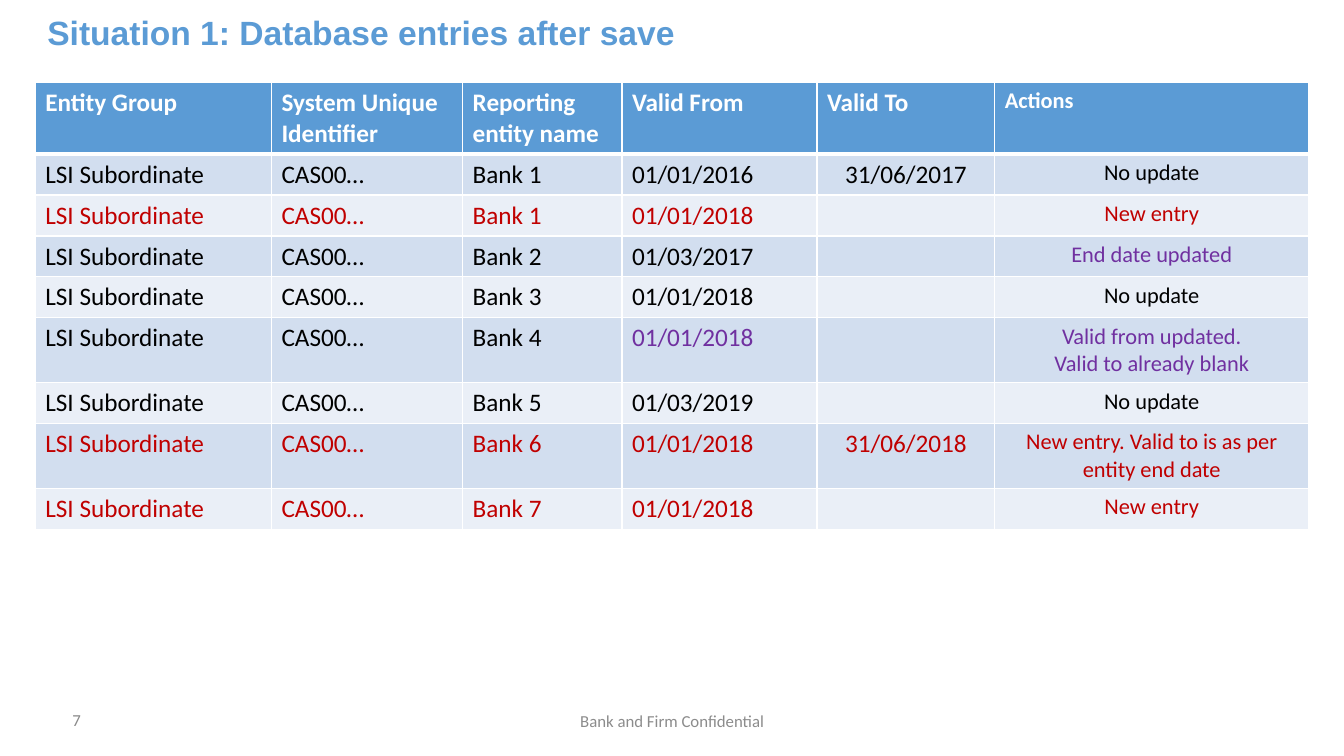
from lxml import etree
from pptx import Presentation
from pptx.dml.color import RGBColor
from pptx.enum.text import MSO_ANCHOR, MSO_AUTO_SIZE, PP_ALIGN
from pptx.oxml.ns import qn
from pptx.util import Pt

WHITE, BLACK, BLUE, RED, PURPLE = "FFFFFF", "000000", "5B9BD5", "C00000", "7030A0"
BANDS = ("D2DEEF", "EAEFF7")

TITLE = "Situation 1: Database entries after save"
HEADERS = ["Entity Group", "System Unique Identifier", "Reporting entity name",
           "Valid From", "Valid To", "Actions"]
# bank, valid from, valid to, action, row colour, valid-from colour, action colour
ENTRIES = [
    ("Bank 1", "01/01/2016", "31/06/2017", "No update", BLACK, BLACK, BLACK),
    ("Bank 1", "01/01/2018", "", "New entry", RED, RED, RED),
    ("Bank 2", "01/03/2017", "", "End date updated", BLACK, BLACK, PURPLE),
    ("Bank 3", "01/01/2018", "", "No update", BLACK, BLACK, BLACK),
    ("Bank 4", "01/01/2018", "", "Valid from updated.\nValid to already blank",
     BLACK, PURPLE, PURPLE),
    ("Bank 5", "01/03/2019", "", "No update", BLACK, BLACK, BLACK),
    ("Bank 6", "01/01/2018", "31/06/2018",
     "New entry. Valid to is as per entity end date", RED, RED, RED),
    ("Bank 7", "01/01/2018", "", "New entry", RED, RED, RED),
]
FOOTERS = [  # text, left, top, width, alignment, colour
    ("Bank and Firm Confidential", 318.2, 500.4, 324, PP_ALIGN.CENTER, "8C8C8C"),
    ("7", 44.6, 499.7, 216, PP_ALIGN.LEFT, "898989"),
]
COLUMN_WIDTHS = [168.7, 136.6, 113.8, 139.4, 126.9, 224.4]
HEADER_HEIGHT, ROW_HEIGHT, TALL_HEIGHT = 50.4, 29.2, 46.4
TALL_ACTION = 20  # actions longer than this take two lines


def rgb(value):
    """Turn a hex string into a colour."""
    return RGBColor.from_string(value)


def write(frame, text, size, color, font="Calibri", bold=False, align=PP_ALIGN.LEFT):
    """Fill a text frame with evenly formatted paragraphs."""
    frame.text = text
    for paragraph in frame.paragraphs:
        paragraph.alignment = align
        paragraph.font.size = Pt(size)
        for run in paragraph.runs:
            run.font.name, run.font.size, run.font.bold = font, Pt(size), bold
            run.font.color.rgb = rgb(color)


def add_borders(cell, top=1, bottom=1):
    """Draw white borders around a cell, with widths in points."""
    properties = cell._tc.get_or_add_tcPr()
    for side, width in (("L", 1), ("R", 1), ("T", top), ("B", bottom)):
        line = etree.SubElement(properties, qn(f"a:ln{side}"), w=str(Pt(width)))
        fill = etree.SubElement(line, qn("a:solidFill"))
        etree.SubElement(fill, qn("a:srgbClr"), val=WHITE)


def fill_cell(cell, text, size, color, background, top=1, bottom=1, **style):
    """Set a cell's borders, background and text."""
    add_borders(cell, top, bottom)
    cell.fill.solid()
    cell.fill.fore_color.rgb = rgb(background)
    write(cell.text_frame, text, size, color, **style)


def add_title(slide):
    """Place the slide title in its placeholder."""
    title = slide.shapes.title
    title.left, title.top, title.width, title.height = Pt(26.6), Pt(8), Pt(831.6), Pt(83.5)
    frame = title.text_frame
    write(frame, TITLE, 24, BLUE, font="Arial", bold=True, align=PP_ALIGN.JUSTIFY)
    frame.paragraphs[0].line_spacing = 0.9
    frame.vertical_anchor = MSO_ANCHOR.TOP
    frame.auto_size = MSO_AUTO_SIZE.NONE
    frame.word_wrap = True


def add_entries(slide):
    """Build the table of database entries."""
    heights = [HEADER_HEIGHT] + [TALL_HEIGHT if len(entry[3]) > TALL_ACTION else ROW_HEIGHT
                                 for entry in ENTRIES]
    table = slide.shapes.add_table(
        len(heights), len(HEADERS), Pt(25.2), Pt(59),
        Pt(sum(COLUMN_WIDTHS)), Pt(sum(heights))).table
    for column, width in zip(table.columns, COLUMN_WIDTHS):
        column.width = Pt(width)
    for row, height in zip(table.rows, heights):
        row.height = Pt(height)

    sizes = [18] * 5 + [16]
    aligns = [PP_ALIGN.LEFT] * 4 + [PP_ALIGN.CENTER] * 2
    for c, header in enumerate(HEADERS):
        fill_cell(table.cell(0, c), header, sizes[c], WHITE, BLUE, bottom=3, bold=True)
    for r, (bank, start, end, action, main, start_color, action_color) in enumerate(ENTRIES):
        texts = ["LSI Subordinate", "CAS00…", bank, start, end, action]
        colors = [main, main, main, start_color, main, action_color]
        for c, text in enumerate(texts):
            fill_cell(table.cell(r + 1, c), text, sizes[c], colors[c], BANDS[r % 2],
                      top=3 if r == 0 else 1, align=aligns[c])


def add_footers(slide):
    """Add the confidentiality note and the page number."""
    for text, left, top, width, align, color in FOOTERS:
        frame = slide.shapes.add_textbox(Pt(left), Pt(top), Pt(width), Pt(28.8)).text_frame
        frame.word_wrap = True
        frame.vertical_anchor = MSO_ANCHOR.MIDDLE
        write(frame, text, 12, color, align=align)


presentation = Presentation()
presentation.slide_width, presentation.slide_height = Pt(960), Pt(540)
slide = presentation.slides.add_slide(presentation.slide_layouts[5])
add_title(slide)
add_entries(slide)
add_footers(slide)
presentation.save("out.pptx")
